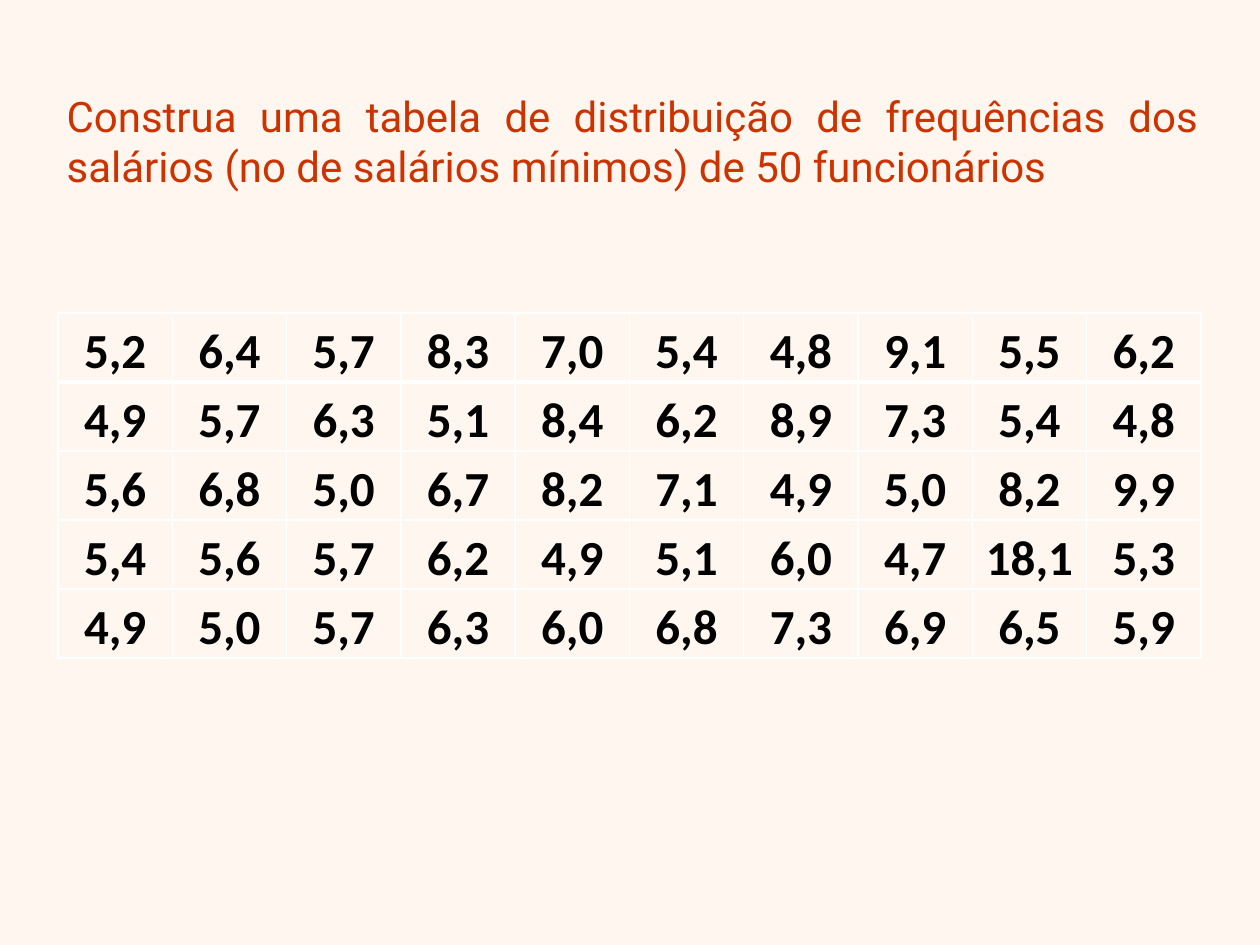
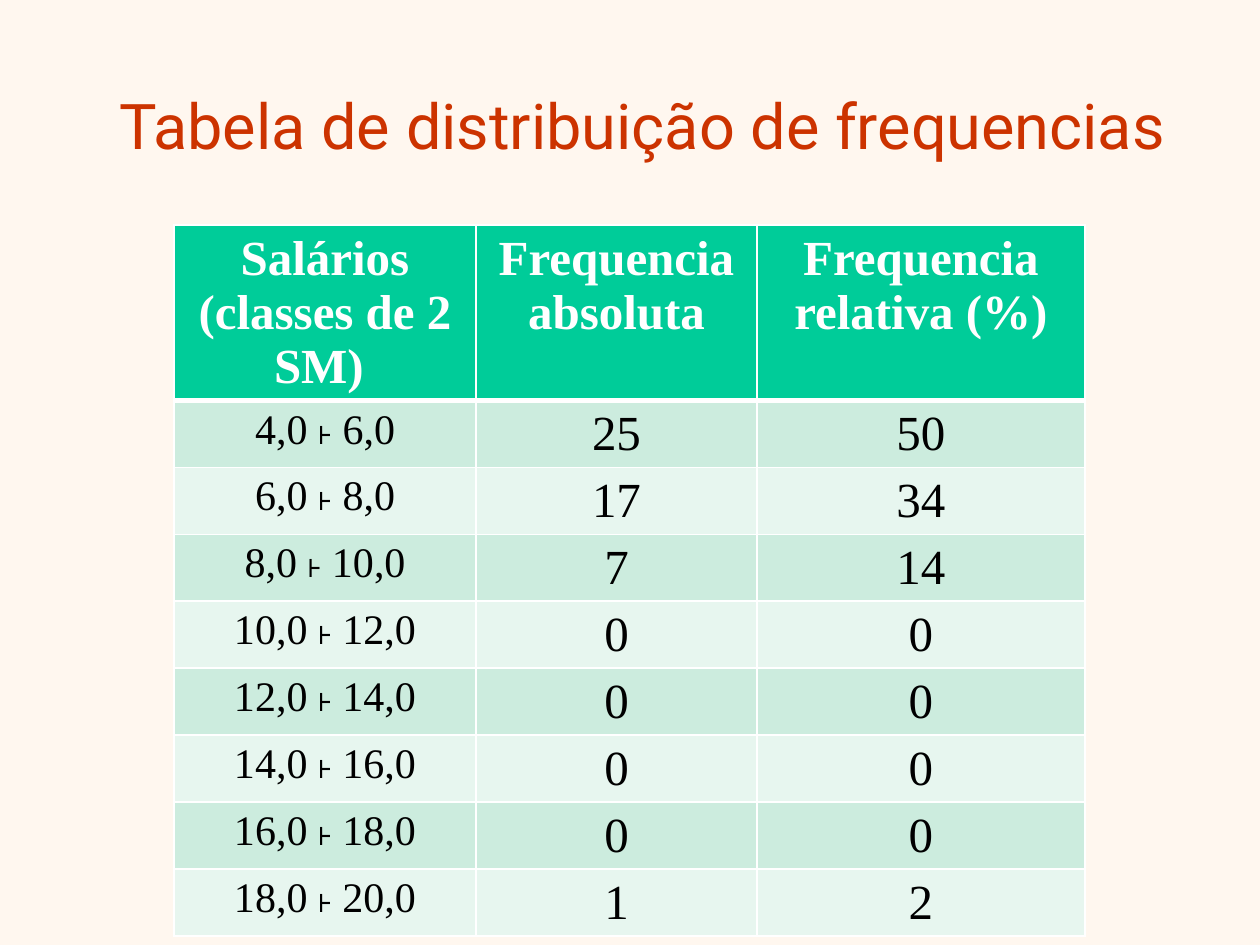
from dataclasses import dataclass

from lxml.etree import SubElement
from pptx import Presentation
from pptx.dml.color import RGBColor
from pptx.enum.text import MSO_ANCHOR, MSO_AUTO_SIZE, PP_ALIGN
from pptx.oxml.ns import qn
from pptx.util import Inches, Pt

PIXELS_PER_INCH = 126


@dataclass(frozen=True)
class Theme:
    background: str = "FFF7EF"
    title: str = "CC3300"
    text: str = "000000"
    white: str = "FFFFFF"
    header: str = "00CC99"
    bands: tuple = ("CCECDE", "E7F6EF")
    title_font: str = "Roboto"
    grid_font: str = "Calibri"
    table_font: str = "Times New Roman"
    large: int = 36
    medium: int = 28
    small: int = 24
    thin: int = 1
    thick: int = 3


THEME = Theme()

SALARIES = """
5,2 6,4 5,7 8,3 7,0 5,4 4,8 9,1 5,5 6,2
4,9 5,7 6,3 5,1 8,4 6,2 8,9 7,3 5,4 4,8
5,6 6,8 5,0 6,7 8,2 7,1 4,9 5,0 8,2 9,9
5,4 5,6 5,7 6,2 4,9 5,1 6,0 4,7 18,1 5,3
4,9 5,0 5,7 6,3 6,0 6,8 7,3 6,9 6,5 5,9
"""
HEADINGS = ["Salários\n(classes de 2 SM) ", "Frequencia absoluta", "Frequencia relativa (%)"]
COUNTS = [25, 17, 7, 0, 0, 0, 0, 1]
CLASS_START, CLASS_WIDTH = 4, 2


def px(length):
    return round(length * Inches(1) / PIXELS_PER_INCH)


def write_text(frame, text, *, font, size, color, bold=False,
               align=PP_ALIGN.CENTER, line_spacing=None):
    for index, line in enumerate(text.split("\n")):
        paragraph = frame.add_paragraph() if index else frame.paragraphs[0]
        paragraph.alignment = align
        paragraph.line_spacing = line_spacing
        run = paragraph.add_run()
        run.text = line
        run.font.name = font
        run.font.size = Pt(size)
        run.font.bold = bold
        run.font.color.rgb = RGBColor.from_string(color)


def set_borders(cell, color, **widths):
    properties = cell._tc.get_or_add_tcPr()
    for side in "LRTB":
        width = widths.get(side, THEME.thin)
        line = SubElement(properties, qn(f"a:ln{side}"), w=str(Pt(width)))
        fill = SubElement(line, qn("a:solidFill"))
        SubElement(fill, qn("a:srgbClr"), val=color)


class Deck:
    def __init__(self, theme):
        self.theme = theme
        self.presentation = Presentation()
        self.presentation.slide_width = Inches(10)
        self.presentation.slide_height = Inches(7.5)
        background = self.presentation.slide_master.background.fill
        background.solid()
        background.fore_color.rgb = RGBColor.from_string(theme.background)
        self.slide = None

    def add_slide(self):
        self.slide = self.presentation.slides.add_slide(self.presentation.slide_layouts[5])

    def title(self, text, left, top, width, height, **text_format):
        shape = self.slide.shapes.title
        shape.left, shape.top = px(left), px(top)
        shape.width, shape.height = px(width), px(height)
        frame = shape.text_frame
        frame.word_wrap = True
        frame.auto_size = MSO_AUTO_SIZE.NONE
        frame.vertical_anchor = MSO_ANCHOR.MIDDLE
        write_text(frame, text, font=self.theme.title_font, color=self.theme.title, **text_format)

    def table(self, rows, left, top, widths, heights, cell_format, margins=None):
        shape = self.slide.shapes.add_table(
            len(rows), len(widths), px(left), px(top), px(sum(widths)), px(sum(heights)))
        table = shape.table
        for column, width in zip(table.columns, widths):
            column.width = px(width)
        for row, height in zip(table.rows, heights):
            row.height = px(height)
        for row_index, row in enumerate(rows):
            for column_index, text in enumerate(row):
                cell = table.cell(row_index, column_index)
                fill, text_format = cell_format(row_index, column_index)
                if margins:
                    cell.margin_left = cell.margin_right = px(margins[0])
                    cell.margin_top = cell.margin_bottom = px(margins[1])
                header_edge = {0: "B", 1: "T"}.get(row_index)
                widths_by_side = {header_edge: self.theme.thick} if header_edge else {}
                set_borders(cell, self.theme.white, **widths_by_side)
                if fill:
                    cell.fill.solid()
                    cell.fill.fore_color.rgb = RGBColor.from_string(fill)
                else:
                    cell.fill.background()
                write_text(cell.text_frame, text, **text_format)


def salary_format(row, column):
    return None, dict(font=THEME.grid_font, size=THEME.medium, color=THEME.text,
                      bold=True, line_spacing=1.15)


def frequency_format(row, column):
    if row == 0:
        return THEME.header, dict(font=THEME.table_font, size=THEME.medium,
                                  color=THEME.white, bold=True)
    size = THEME.medium if column else THEME.small
    return THEME.bands[(row - 1) % 2], dict(font=THEME.table_font, size=size, color=THEME.text)


def frequency_rows():
    rows = [HEADINGS]
    for index, count in enumerate(COUNTS):
        start = CLASS_START + index * CLASS_WIDTH
        percentage = count * 100 // sum(COUNTS)
        rows.append([f"{start},0 ˫ {start + CLASS_WIDTH},0", str(count), str(percentage)])
    return rows


def main():
    deck = Deck(THEME)

    deck.add_slide()
    deck.title("Construa uma tabela de distribuição de frequências dos salários "
               "(no de salários mínimos) de 50 funcionários",
               54, 76, 1157, 129, size=THEME.small, align=PP_ALIGN.JUSTIFY)
    salaries = [line.split() for line in SALARIES.strip().splitlines()]
    deck.table(salaries, 58, 313, [1143 / 10] * 10, [69] * 5, salary_format, margins=(9, 0))

    deck.add_slide()
    deck.title("Tabela de distribuição de frequencias", 64, 45, 1157, 158, size=THEME.large)
    deck.table(frequency_rows(), 174, 225, [302, 281, 328],
               [174] + [67] * len(COUNTS), frequency_format)

    deck.presentation.save("out.pptx")


if __name__ == "__main__":
    main()
